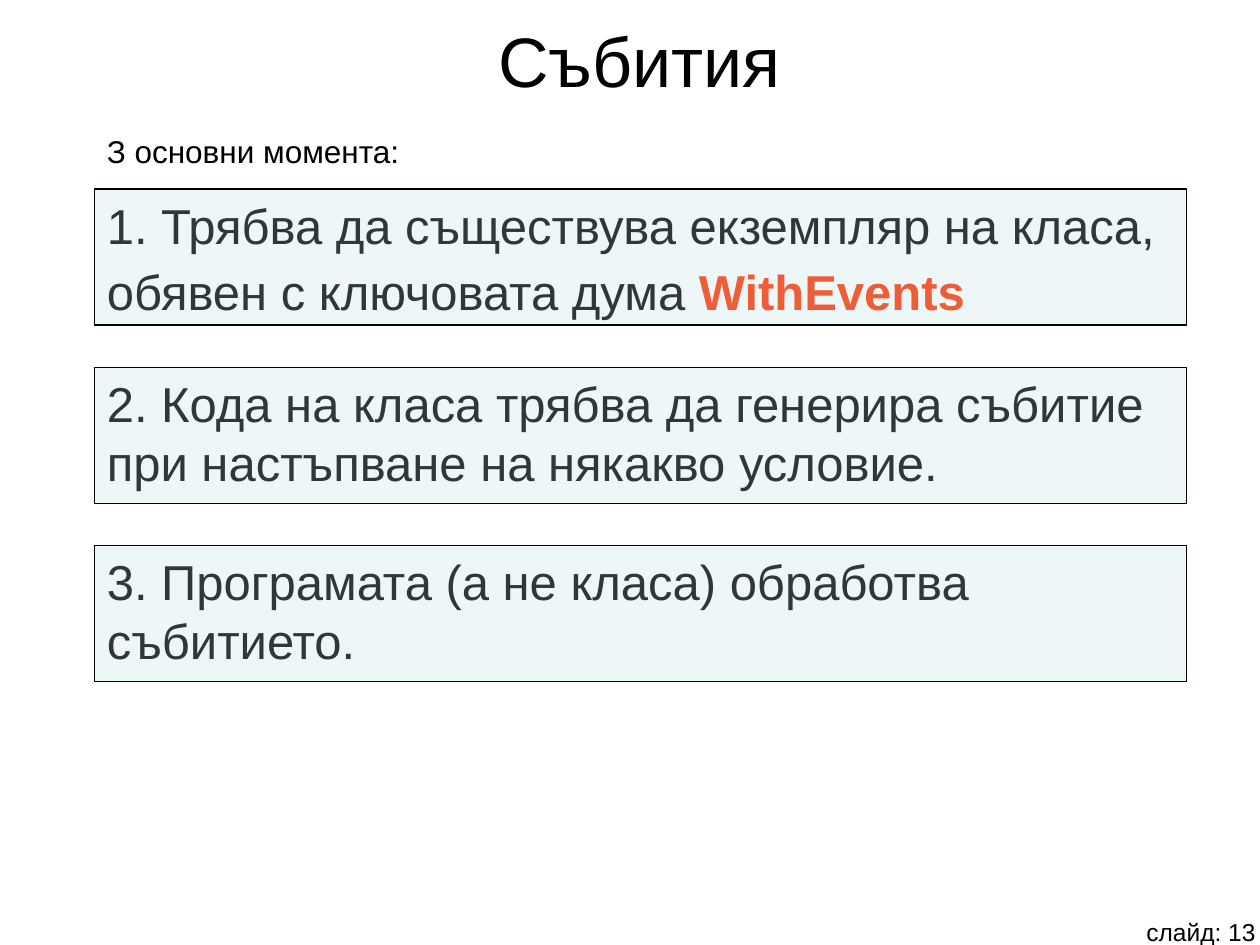
from pptx import Presentation
from pptx.dml.color import RGBColor
from pptx.enum.shapes import MSO_SHAPE
from pptx.enum.text import MSO_ANCHOR, PP_ALIGN
from pptx.oxml.ns import qn
from pptx.util import Inches, Pt
from lxml.etree import SubElement

TITLE = " Събития"
INTRO = "З основни момента:"
FOOTER = "слайд: 13"
# Each step is a list of lines; each line is a list of (text, style) runs.
STEPS = [
    [[("1. Трябва да съществува екземпляр на класа,", "step")],
     [("обявен с ключовата дума ", "step"), ("WithEvents", "keyword"), (" ", "spacer")]],
    [[("2. Кода на класа трябва да генерира събитие", "step")],
     [("при настъпване на някакво условие.", "step")]],
    [[("3. Програмата (а не класа) обработва", "step")],
     [("събитието.", "step")]],
]

BLACK = RGBColor(0, 0, 0)
THEME = {
    "font": "Arial",
    "panel": RGBColor(0xBB, 0xE0, 0xE3),
    "panel_alpha": 25,
    "line": BLACK,
    "styles": {
        "title": {"size": Pt(40), "color": BLACK, "bold": False},
        "intro": {"size": Pt(18), "color": BLACK, "bold": False},
        "step": {"size": Pt(28), "color": BLACK, "bold": False},
        "keyword": {"size": Pt(28), "color": RGBColor(0xFF, 0x33, 0), "bold": True},
        "spacer": {"size": Pt(32), "color": BLACK, "bold": False},
        "footer": {"size": Pt(14), "color": BLACK, "bold": False},
    },
}

LEFT, STEP_TOP, STEP_PITCH = 0.75, 1.5, 1.415
PANEL_W, PANEL_H = 8.67, 1.08


def add_text(slide, box, lines, wrap=False, anchor=MSO_ANCHOR.TOP, align=PP_ALIGN.LEFT):
    tf = slide.shapes.add_textbox(*map(Inches, box)).text_frame
    tf.word_wrap = wrap
    tf.vertical_anchor = anchor
    for i, line in enumerate(lines):
        p = tf.paragraphs[0] if i == 0 else tf.add_paragraph()
        p.alignment = align
        for text, style in line:
            r = p.add_run()
            r.text = text
            r.font.name = THEME["font"]
            for key, value in THEME["styles"][style].items():
                if key == "color":
                    r.font.color.rgb = value
                else:
                    setattr(r.font, key, value)


def add_panel(slide, top):
    """Lay a translucent framed tint over a step's text."""
    sp = slide.shapes.add_shape(
        MSO_SHAPE.RECTANGLE, *map(Inches, (LEFT, top, PANEL_W, PANEL_H)))
    sp.shadow.inherit = False
    sp.fill.solid()
    sp.fill.fore_color.rgb = THEME["panel"]
    color = sp.fill._xPr.find(qn("a:solidFill"))[0]
    SubElement(color, qn("a:alpha")).set("val", str(THEME["panel_alpha"] * 1000))
    sp.line.color.rgb = THEME["line"]
    sp.line.width = Pt(0.75)


def main():
    prs = Presentation()
    prs.slide_width, prs.slide_height = Inches(10), Inches(7.5)
    slide = prs.slides.add_slide(prs.slide_layouts[6])

    add_text(slide, (9, 7.23, 1.09, 0.33), [[(FOOTER, "footer")]])
    add_text(slide, (0, 0.08, 10, 0.78), [[(TITLE, "title")]],
             wrap=True, anchor=MSO_ANCHOR.MIDDLE, align=PP_ALIGN.CENTER)
    add_text(slide, (LEFT, 1, 2.53, 0.4), [[(INTRO, "intro")]])
    tops = [STEP_TOP + i * STEP_PITCH for i in range(len(STEPS))]
    for top, lines in zip(tops, STEPS):
        add_text(slide, (LEFT, top, PANEL_W, PANEL_H), lines)
        add_panel(slide, top)

    prs.save("out.pptx")


if __name__ == "__main__":
    main()
